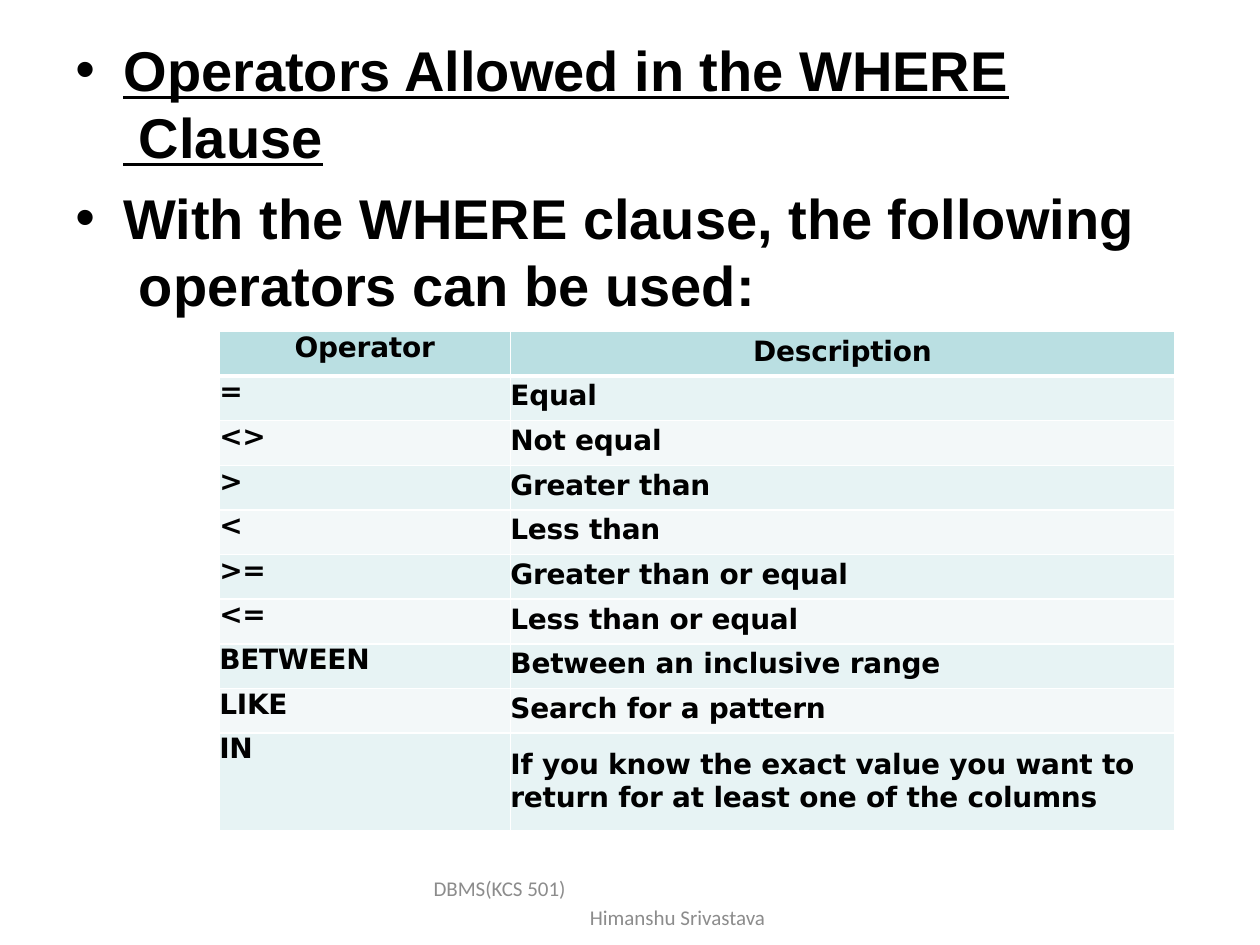
from dataclasses import dataclass
from typing import Any

from lxml import etree
from pptx import Presentation
from pptx.dml.color import RGBColor
from pptx.enum.text import MSO_ANCHOR, PP_ALIGN
from pptx.oxml.ns import qn
from pptx.util import Cm, Pt

LEFT, CENTER = PP_ALIGN.LEFT, PP_ALIGN.CENTER
TOP, MIDDLE = MSO_ANCHOR.TOP, MSO_ANCHOR.MIDDLE
BLACK, GREY, WHITE = "000000", "8C8C8C", "FFFFFF"
HEADER_FILL, BAND_FILLS = "BADFE2", ("E7F3F4", "F3F8F9")
ROW_HEIGHT, LAST_ROW_HEIGHT = 0.9, 1.96
COLUMN_WIDTHS = (5.87, 13.39)


@dataclass(frozen=True)
class Operator:
    """One row of the operator table."""
    symbol: str
    meaning: tuple[str, ...]


OPERATORS = [
    Operator("=", ("Equal",)),
    Operator("<>", ("Not equal",)),
    Operator(">", ("Greater than",)),
    Operator("<", ("Less than",)),
    Operator(">=", ("Greater than or equal",)),
    Operator("<=", ("Less than or equal",)),
    Operator("BETWEEN", ("Between an inclusive range",)),
    Operator("LIKE", ("Search for a pattern",)),
    Operator("IN", ("If you know the exact value you want to",
                    "return for at least one of the columns")),
]


def rgb(value: str) -> RGBColor:
    """Turn a hex string into a colour."""
    return RGBColor.from_string(value)


def write(frame: Any, text: str, *, size: float, font: str, color: str = BLACK,
          bold: bool = False, underline: bool = False, align: Any = LEFT,
          before: float = 0, line: float | None = None, margin: float = 0,
          indent: float = 0, bullet: str = "", tracking: float = 0) -> None:
    """Add one formatted paragraph, filling the empty first one if there is one."""
    first = frame.paragraphs[0]
    paragraph = frame.add_paragraph() if first.runs else first
    paragraph.alignment = align
    paragraph.space_before = Pt(before)
    if line:
        paragraph.line_spacing = Pt(line)
    run = paragraph.add_run()
    run.text = text
    run.font.size, run.font.name = Pt(size), font
    run.font.bold, run.font.underline = bold, underline
    run.font.color.rgb = rgb(color)
    if tracking:
        run.font._element.set("spc", str(round(tracking * 100)))
    properties = paragraph._p.get_or_add_pPr()
    properties.set("marL", str(Cm(margin)))
    properties.set("indent", str(Cm(indent)))
    if bullet:
        etree.SubElement(properties, qn("a:buFont"), typeface=font)
        etree.SubElement(properties, qn("a:buChar"), char=bullet)


def set_insets(target: Any, top: float = 0) -> None:
    """Clear the inner margins of a frame or cell, except the top one."""
    target.margin_left = target.margin_right = target.margin_bottom = 0
    target.margin_top = Cm(top)


def add_text_area(slide: Any, left: float, top: float, width: float,
                  height: float, anchor: Any = TOP) -> Any:
    """Add a wrapping text box and return its frame."""
    frame = slide.shapes.add_textbox(Cm(left), Cm(top), Cm(width), Cm(height)).text_frame
    frame.word_wrap = True
    frame.vertical_anchor = anchor
    set_insets(frame)
    return frame


def style_cell(cell: Any, fill: str, inset: float, top: float = 1, bottom: float = 1) -> None:
    """Set the fill, the insets and the white borders of a cell."""
    set_insets(cell, inset)
    properties = cell._tc.get_or_add_tcPr()
    for side, width in (("L", 1), ("R", 1), ("T", top), ("B", bottom)):
        border = etree.SubElement(properties, qn(f"a:ln{side}"), w=str(Pt(width)))
        solid = etree.SubElement(border, qn("a:solidFill"))
        etree.SubElement(solid, qn("a:srgbClr"), val=WHITE)
    cell.fill.solid()
    cell.fill.fore_color.rgb = rgb(fill)


def add_operator_table(slide: Any) -> None:
    """Draw the table of operators and their descriptions."""
    row_count = len(OPERATORS) + 1
    height = ROW_HEIGHT * (row_count - 1) + LAST_ROW_HEIGHT
    table = slide.shapes.add_table(row_count, 2, Cm(4.42), Cm(6.68),
                                   Cm(sum(COLUMN_WIDTHS)), Cm(height)).table
    for column, width in zip(table.columns, COLUMN_WIDTHS):
        column.width = Cm(width)
    for index, row in enumerate(table.rows):
        row.height = Cm(LAST_ROW_HEIGHT if index == row_count - 1 else ROW_HEIGHT)

    face = {"size": 16, "font": "DejaVu Sans", "bold": True, "tracking": -0.1}
    symbol_head, meaning_head = table.cell(0, 0), table.cell(0, 1)
    style_cell(symbol_head, HEADER_FILL, 0, bottom=3)
    style_cell(meaning_head, HEADER_FILL, 0.08, bottom=3)
    write(symbol_head.text_frame, "Operator", line=18.4, margin=1.52, **face)
    write(meaning_head.text_frame, "Description", align=CENTER, before=2.2, **face)

    for index, operator in enumerate(OPERATORS, start=1):
        symbol, meaning = table.cell(index, 0), table.cell(index, 1)
        fill = BAND_FILLS[(index - 1) % 2]
        top = 3 if index == 1 else 1
        multiline = len(operator.meaning) > 1
        style_cell(symbol, fill, 0, top=top)
        style_cell(meaning, fill, 0.3 if multiline else 0.08, top=top)
        write(symbol.text_frame, operator.symbol, line=18.4, **face)
        for number, text in enumerate(operator.meaning):
            before = 0 if number else 8.4 if multiline else 2.3
            write(meaning.text_frame, text, before=before,
                  line=18.9 if multiline else None, **face)


def main() -> None:
    """Build and save the slide."""
    deck = Presentation()
    deck.slide_width, deck.slide_height = Cm(25.4), Cm(19.05)
    slide = deck.slides.add_slide(deck.slide_layouts[6])

    points = add_text_area(slide, 1.5, 0.71, 21.45, 5.75)
    point = {"size": 32, "font": "Arial", "bold": True, "bullet": "•",
             "margin": 0.99, "indent": -0.97}
    write(points, "Operators Allowed in the WHERE \u00a0Clause",
          underline=True, before=1.1, **point)
    write(points, "With the WHERE clause, the following \u00a0operators can be used:",
          before=7.7, **point)

    add_operator_table(slide)

    footer = add_text_area(slide, 8.69, 17.65, 8.05, 1.02, MIDDLE)
    for text, margin in (("DBMS(KCS 501)", 0.05), ("Himanshu Srivastava", 3.2)):
        write(footer, text, size=12, font="Calibri", color=GREY, line=16.5, margin=margin)

    deck.save("out.pptx")


main()
